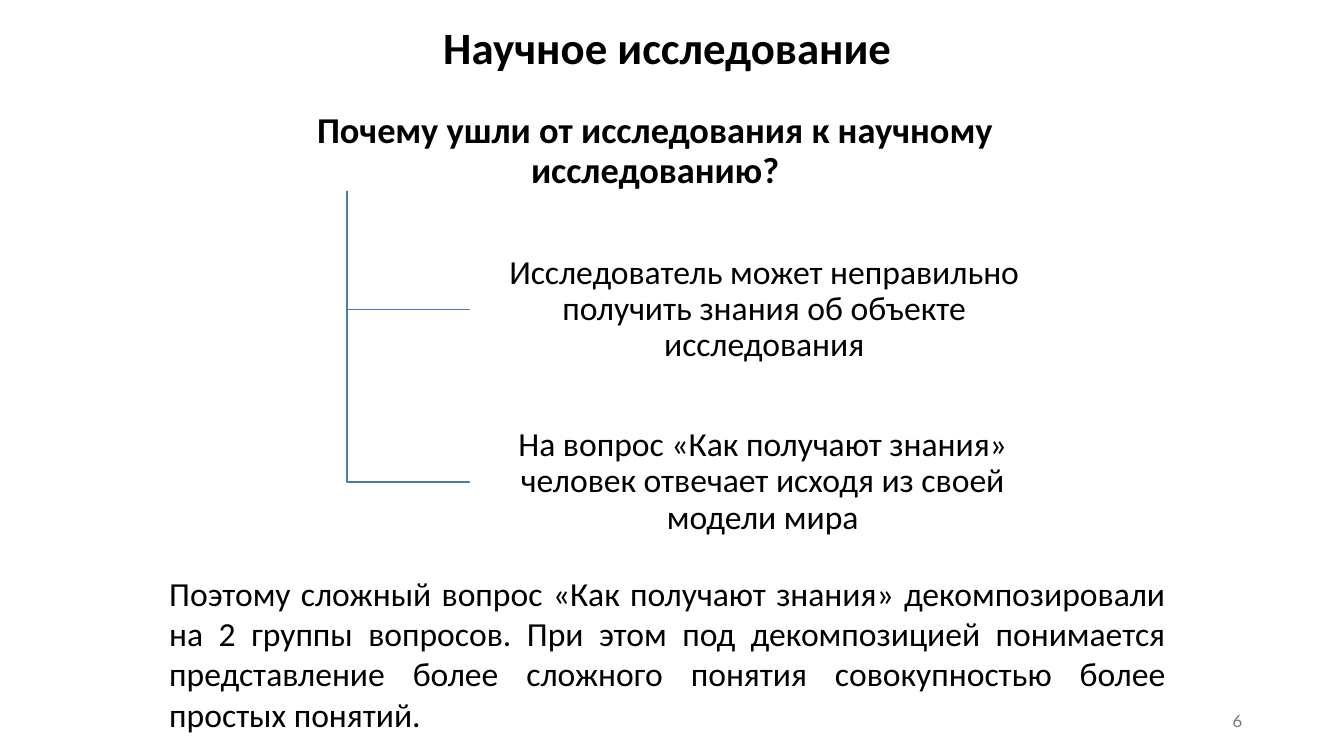
"""Builds the slide on why plain research gave way to scientific research."""
from pptx import Presentation
from pptx.dml.color import RGBColor
from pptx.enum.shapes import MSO_SHAPE
from pptx.enum.text import MSO_ANCHOR, MSO_AUTO_SIZE, PP_ALIGN
from pptx.util import Inches, Pt

COLORS = {"text": "000000", "number": "797979", "branch": "497CAB", "box": "FFFFFF"}


def write(holder, text, size=24, bold=False, font="Calibri", color="text",
          align=PP_ALIGN.CENTER, anchor=MSO_ANCHOR.MIDDLE, spacing=0.9, inset=None):
    frame = holder.text_frame
    frame.word_wrap = True
    frame.auto_size = MSO_AUTO_SIZE.NONE
    frame.vertical_anchor = anchor
    if inset is not None:
        frame.margin_left = frame.margin_right = Inches(inset)
        frame.margin_top = frame.margin_bottom = Inches(inset)
    paragraph = frame.paragraphs[0]
    paragraph.alignment = align
    paragraph.line_spacing = spacing
    run = paragraph.add_run()
    run.text = text
    run.font.size = Pt(size)
    run.font.bold = bold
    run.font.name = font
    run.font.color.rgb = RGBColor.from_string(COLORS[color])


prs = Presentation()
prs.slide_width, prs.slide_height = Inches(13.33), Inches(7.5)
slide = prs.slides.add_slide(prs.slide_layouts[5])
shapes = slide.shapes

margin, content_width = Inches(1.58), Inches(10.08)
trunk_x, trunk_top = Inches(3.44), Inches(1.89)
reason_left, reason_height = Inches(4.66), Inches(1.08)
first_reason_top, reason_step = Inches(2.53), Inches(1.71)

heading = shapes.title
heading.left, heading.top = margin, Inches(0.07)
heading.width, heading.height = content_width, Inches(0.72)
write(heading, "Научное исследование", size=32, bold=True, anchor=MSO_ANCHOR.BOTTOM)

question = shapes.add_textbox(Inches(2.67), Inches(1.11), Inches(7.66), Inches(0.79))
write(question, "Почему ушли от исследования к научному исследованию?",
      size=26, bold=True, inset=0.02)

reasons = [
    ("Исследователь может неправильно получить знания об объекте исследования", 5.84),
    ("На вопрос «Как получают знания» человек отвечает исходя из своей модели мира", 5.81),
]
for row, (reason_text, reason_width) in enumerate(reasons):
    reason_top = first_reason_top + row * reason_step
    reason_middle = reason_top + reason_height // 2

    outline = shapes.build_freeform(trunk_x, trunk_top)
    outline.add_line_segments(
        [(trunk_x, reason_middle), (reason_left, reason_middle)], close=False)
    branch = outline.convert_to_shape()
    branch.shadow.inherit = False
    branch.fill.background()
    branch.line.color.rgb = RGBColor.from_string(COLORS["branch"])
    branch.line.width = Pt(1)

    reason = shapes.add_shape(MSO_SHAPE.RECTANGLE, reason_left, reason_top,
                              Inches(reason_width), reason_height)
    reason.shadow.inherit = False
    reason.fill.solid()
    reason.fill.fore_color.rgb = RGBColor.from_string(COLORS["box"])
    reason.line.fill.background()
    write(reason, reason_text, inset=0.02)

conclusion = shapes.add_textbox(margin, Inches(5.63), content_width, Inches(1.72))
write(conclusion,
      "Поэтому сложный вопрос «Как получают знания» декомпозировали на 2 группы вопросов. "
      "При этом под декомпозицией понимается представление более сложного понятия "
      "совокупностью более простых понятий.",
      align=PP_ALIGN.JUSTIFY, anchor=MSO_ANCHOR.TOP, spacing=1.0)

page_number = shapes.add_textbox(Inches(9.42), Inches(6.95), Inches(3), Inches(0.4))
write(page_number, "6", size=12, font="Lato", color="number",
      align=PP_ALIGN.RIGHT, spacing=1.0)

prs.save("out.pptx")
